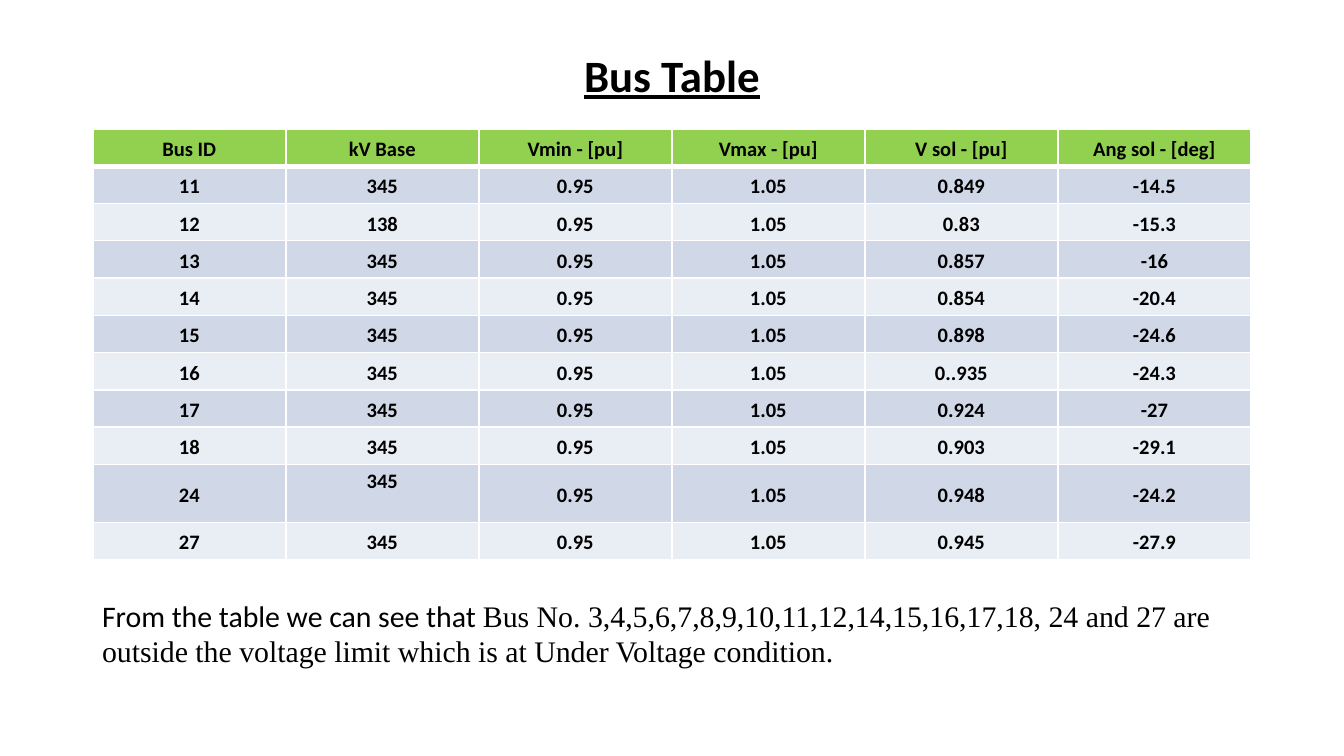
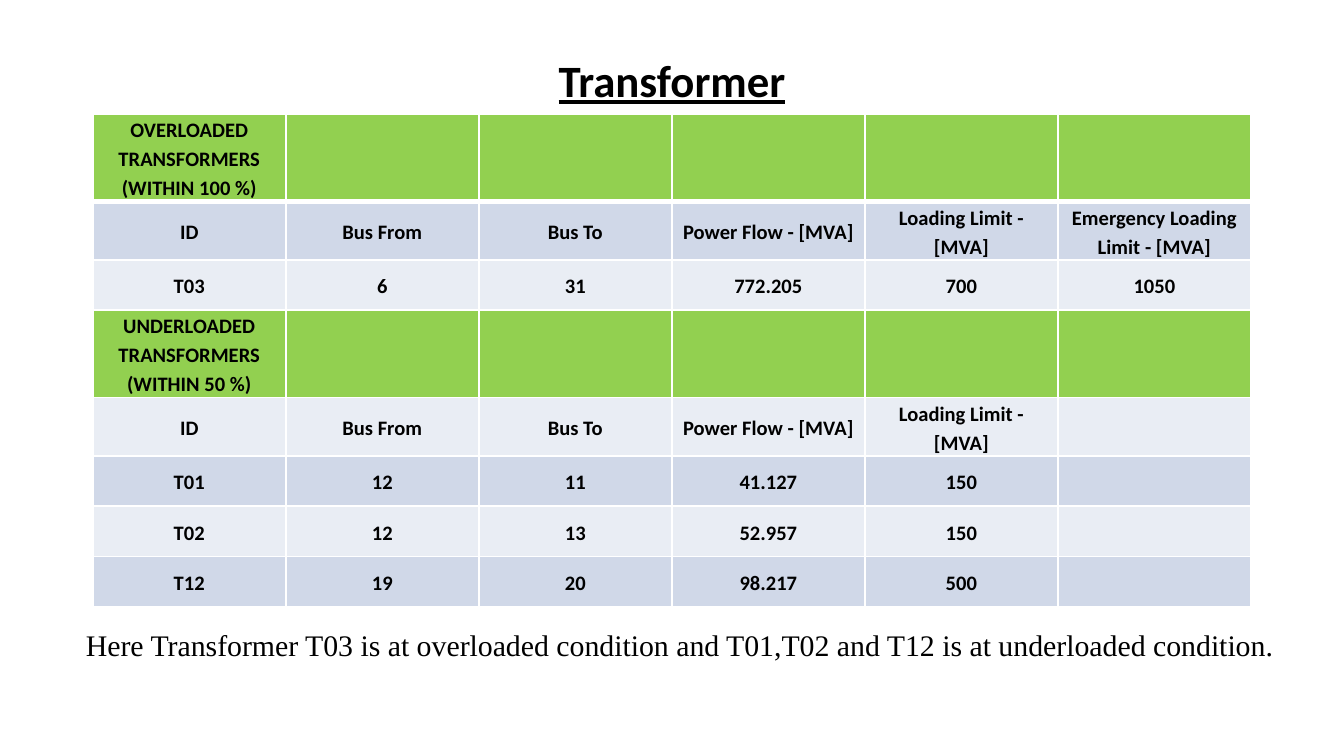
from dataclasses import dataclass

from lxml.etree import SubElement
from pptx import Presentation
from pptx.dml.color import RGBColor
from pptx.enum.text import MSO_ANCHOR as Anchor, MSO_AUTO_SIZE as AutoSize, PP_ALIGN as Align
from pptx.oxml.ns import qn
from pptx.util import Pt

GREEN, BLUE, PALE, WHITE, BLACK = "92D050", "D0D8E8", "E9EDF4", "FFFFFF", "000000"
SANS, SERIF = "Calibri", "Times New Roman"
LEFT, WIDTH, COLUMNS = 49.7, 620.6, 6
TITLE_FONT = dict(name=SANS, size=Pt(24), bold=True, underline=True)
CELL_FONT = dict(name=SANS, size=Pt(11), bold=True)
CELL_MARGINS = dict(margin_left=Pt(4.3), margin_right=Pt(4.3), margin_top=0, margin_bottom=0)
CAPTION_MARGINS = dict(margin_left=Pt(5), margin_right=Pt(5), margin_top=Pt(3), margin_bottom=Pt(3))


@dataclass
class Title:
    text: str
    top: float
    height: float
    anchor: Anchor = Anchor.MIDDLE
    margin_top: float = 3.6


@dataclass
class Grid:
    top: float
    heights: list[float]
    rows: list[list[str]]
    section_rows: tuple[int, ...] = (0,)
    top_cells: tuple[tuple[int, int], ...] = ()
    space_after: float = 0


@dataclass
class Caption:
    left: float
    top: float
    width: float
    height: float
    runs: list[tuple[str, str]]


@dataclass
class Page:
    title: Title
    grid: Grid
    caption: Caption


def rgb(color: str) -> RGBColor:
    return RGBColor.from_string(color)


def apply(target, values: dict) -> None:
    for name, value in values.items():
        setattr(target, name, value)


def add_run(p, text: str, font: dict) -> None:
    r = p.add_run()
    r.text = text
    apply(r.font, font)
    r.font.color.rgb = rgb(BLACK)


def set_borders(cell, row: int) -> None:
    """White cell lines, thicker where the first row meets the second."""
    tc_pr = cell._tc.get_or_add_tcPr()
    for side in "LRTB":
        width = 3 if (row, side) in ((0, "B"), (1, "T")) else 1
        ln = SubElement(tc_pr, qn(f"a:ln{side}"), w=str(Pt(width)))
        fill = SubElement(ln, qn("a:solidFill"))
        SubElement(fill, qn("a:srgbClr"), val=WHITE)


def add_title(s, title: Title) -> None:
    sp = s.shapes.title
    apply(sp, dict(left=Pt(LEFT), top=Pt(title.top), width=Pt(WIDTH), height=Pt(title.height)))
    tf = sp.text_frame
    apply(tf, dict(auto_size=AutoSize.NONE, word_wrap=True, vertical_anchor=title.anchor,
                   margin_top=Pt(title.margin_top)))
    p = tf.paragraphs[0]
    p.alignment = Align.CENTER
    add_run(p, title.text, TITLE_FONT)


def add_grid(s, grid: Grid) -> None:
    table = s.shapes.add_table(len(grid.rows), COLUMNS, Pt(LEFT), Pt(grid.top),
                               Pt(WIDTH), Pt(sum(grid.heights))).table
    for column in table.columns:
        column.width = Pt(WIDTH / COLUMNS)
    for i, (height, texts) in enumerate(zip(grid.heights, grid.rows)):
        table.rows[i].height = Pt(height)
        color = GREEN if i in grid.section_rows else BLUE if i % 2 else PALE
        for j in range(COLUMNS):
            cell = table.cell(i, j)
            set_borders(cell, i)
            cell.fill.solid()
            cell.fill.fore_color.rgb = rgb(color)
            apply(cell, CELL_MARGINS)
            cell.vertical_anchor = Anchor.TOP if (i, j) in grid.top_cells else Anchor.MIDDLE
            if j < len(texts):
                p = cell.text_frame.paragraphs[0]
                apply(p, dict(alignment=Align.CENTER, line_spacing=1.15,
                              space_after=Pt(grid.space_after)))
                add_run(p, texts[j], CELL_FONT)


def add_caption(s, caption: Caption) -> None:
    sp = s.shapes.add_textbox(Pt(caption.left), Pt(caption.top), Pt(caption.width), Pt(caption.height))
    tf = sp.text_frame
    apply(tf, dict(word_wrap=True, auto_size=AutoSize.SHAPE_TO_FIT_TEXT, **CAPTION_MARGINS))
    for text, name in caption.runs:
        add_run(tf.paragraphs[0], text, dict(name=name, size=Pt(16)))


BUSES = [
    ("11", "345", "0.849", "-14.5"),
    ("12", "138", "0.83", "-15.3"),
    ("13", "345", "0.857", "-16"),
    ("14", "345", "0.854", "-20.4"),
    ("15", "345", "0.898", "-24.6"),
    ("16", "345", "0..935", "-24.3"),
    ("17", "345", "0.924", "-27"),
    ("18", "345", "0.903", "-29.1"),
    ("24", "345", "0.948", "-24.2"),
    ("27", "345", "0.945", "-27.9"),
]
BUS_HEADER = ["Bus ID", "kV Base", "Vmin - [pu]", "Vmax - [pu]", "V sol - [pu]", "Ang sol - [deg]"]
FLOW_HEADER = ["ID", "Bus From", "Bus To", "Power Flow - [MVA]", "Loading Limit - [MVA]"]

PAGES = [
    Page(
        Title("Bus Table", 10, 35, Anchor.TOP, 15.5),
        Grid(69, [20] * 9 + [31, 20],
             [BUS_HEADER] + [[bus, kv, "0.95", "1.05", v, angle] for bus, kv, v, angle in BUSES],
             top_cells=((9, 1),)),
        Caption(LEFT, 317, WIDTH, 44, [
            ("From the table we can see that ", SANS),
            ("Bus No. 3,4,5,6,7,8,9,10,11,12,14,15,16,17,18, 24 and 27 are outside the voltage "
             "limit which is at Under Voltage condition.", SERIF),
        ]),
    ),
    Page(
        Title("Transformer", 12.2, 61.2),
        Grid(61.2, [43, 29, 27, 43] + [27] * 4, [
            ["OVERLOADED TRANSFORMERS (WITHIN 100 %)"],
            FLOW_HEADER + ["Emergency Loading Limit - [MVA]"],
            ["T03", "6", "31", "772.205", "700", "1050"],
            ["UNDERLOADED TRANSFORMERS (WITHIN 50 %)"],
            FLOW_HEADER,
            ["T01", "12", "11", "41.127", "150"],
            ["T02", "12", "13", "52.957", "150"],
            ["T12", "19", "20", "98.217", "500"],
        ], section_rows=(0, 3), space_after=10),
        Caption(41, 332.6, 671, 25, [
            ("Here Transformer T03 is at overloaded condition and T01,T02 and T12 is at "
             "underloaded condition.", SERIF),
        ]),
    ),
]


def main() -> None:
    prs = Presentation()
    prs.slide_width, prs.slide_height = Pt(720), Pt(405)
    title_only = prs.slide_layouts[5]
    for page in PAGES:
        s = prs.slides.add_slide(title_only)
        add_title(s, page.title)
        add_grid(s, page.grid)
        add_caption(s, page.caption)
    prs.save("out.pptx")


if __name__ == "__main__":
    main()
